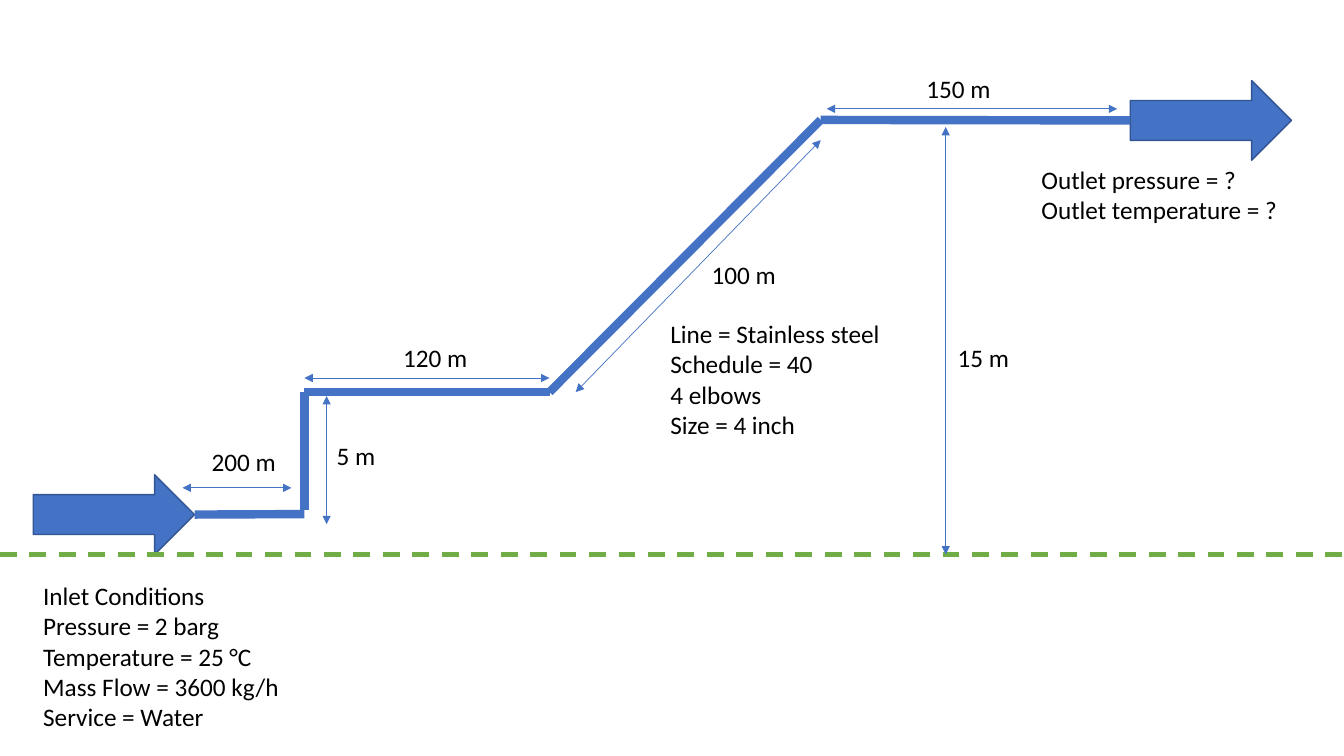
import lxml.etree
import pptx
import pptx.util
import pptx.dml.color
import pptx.enum.dml
import pptx.enum.shapes
import pptx.oxml.ns

BLUE = pptx.dml.color.RGBColor(0x44, 0x72, 0xC4)
DARK_BLUE = pptx.dml.color.RGBColor(0x32, 0x54, 0x91)
GREEN = pptx.dml.color.RGBColor(0x70, 0xAD, 0x47)
BLACK = pptx.dml.color.RGBColor(0, 0, 0)

# Content, with lengths in inches
WIDTH, HEIGHT = 13.33, 7.5
GROUND_Y = 5.5
ARROW_W, ARROW_H = 1.6, 0.79
INLET_AT = (0.33, 4.71)
OUTLET_AT = (11.21, 0.8)

INLET_TIP = (INLET_AT[0] + ARROW_W, 5.1)
RISER_FOOT = (3.02, 5.1)
RISER_TOP = (3.02, 3.89)
SLOPE_FOOT = (5.45, 3.89)
SLOPE_TOP = (8.14, 1.19)
OUTLET_TAIL = (OUTLET_AT[0], 1.19)
PIPE = [
    (INLET_TIP, RISER_FOOT),
    ((3.02, 5.06), RISER_TOP),
    (RISER_TOP, SLOPE_FOOT),
    (SLOPE_FOOT, SLOPE_TOP),
    (SLOPE_TOP, OUTLET_TAIL),
]

# Each dimension: label, label box (left, top, width), line start, line end
DIMENSIONS = [
    ("200 m", (2.0, 4.38, 0.95), (1.81, 4.84), (2.89, 4.84)),
    ("5 m", (3.24, 4.32, 0.67), (3.24, 5.2), (3.24, 3.93)),
    ("120 m", (3.9, 3.35, 0.92), (3.02, 3.75), (5.45, 3.75)),
    ("100 m", (6.96, 2.52, 0.92), (5.71, 3.89), (8.14, 1.39)),
    ("150 m", (9.09, 0.68, 0.92), (8.2, 1.08), (11.08, 1.08)),
    ("15 m", (9.4, 3.35, 0.72), (9.38, GROUND_Y), (9.38, 1.26)),
]

NOTE_W = 3.19
NOTES = [
    ((0.33, 5.71, NOTE_W), ["Inlet Conditions", "Pressure = 2 barg",
                            "Temperature = 25 °C", "Mass Flow = 3600 kg/h",
                            "Service = Water"]),
    ((6.55, 3.11, NOTE_W), ["Line = Stainless steel", "Schedule = 40",
                            "4 elbows", "Size = 4 inch"]),
    ((10.23, 1.58, NOTE_W), ["Outlet pressure = ?", "Outlet temperature = ?"]),
]


def inches(*values):
    return [pptx.util.Inches(v) for v in values]


def add_line(slide, start, end, color, width, heads=False):
    c = slide.shapes.add_connector(
        pptx.enum.shapes.MSO_CONNECTOR.STRAIGHT, *inches(*start, *end))
    c.line.color.rgb = color
    c.line.width = pptx.util.Pt(width)
    qn = pptx.oxml.ns.qn
    sp_pr = c._element.spPr
    if heads:
        ln = sp_pr.find(qn("a:ln"))
        for tag in ("a:headEnd", "a:tailEnd"):
            lxml.etree.SubElement(ln, qn(tag)).set("type", "triangle")
    lxml.etree.SubElement(sp_pr, qn("a:effectLst"))
    return c


def add_flow_arrow(slide, at):
    sp = slide.shapes.add_shape(
        pptx.enum.shapes.MSO_SHAPE.RIGHT_ARROW, *inches(*at, ARROW_W, ARROW_H))
    sp.shadow.inherit = False
    sp.fill.solid()
    sp.fill.fore_color.rgb = BLUE
    sp.line.color.rgb = DARK_BLUE
    sp.line.width = pptx.util.Pt(1)
    return sp


def add_text(slide, box, lines):
    height = 0.1 + 0.3 * len(lines)
    tf = slide.shapes.add_textbox(*inches(*box, height)).text_frame
    tf.word_wrap = True
    tf.text = "\n".join(lines)
    for p in tf.paragraphs:
        for r in p.runs:
            r.font.name = "Calibri"
            r.font.size = pptx.util.Pt(18)
            r.font.color.rgb = BLACK


def main():
    prs = pptx.Presentation()
    prs.slide_width, prs.slide_height = inches(WIDTH, HEIGHT)
    s = prs.slides.add_slide(prs.slide_layouts[6])

    # Flow arrows and the pipe between them
    inlet = add_flow_arrow(s, INLET_AT)
    outlet = add_flow_arrow(s, OUTLET_AT)
    pipes = [add_line(s, start, end, BLUE, 6) for start, end in PIPE]
    pipes[0].begin_connect(inlet, 3)
    pipes[-1].end_connect(outlet, 1)

    # Ground level
    ground = add_line(s, (0, GROUND_Y), (WIDTH, GROUND_Y), GREEN, 3)
    ground.line.dash_style = pptx.enum.dml.MSO_LINE.DASH

    # Dimensions
    for label, box, start, end in DIMENSIONS:
        add_line(s, start, end, BLUE, 0.5, heads=True)
        add_text(s, box, [label])

    # Notes
    for box, lines in NOTES:
        add_text(s, box, lines)

    prs.save("out.pptx")


if __name__ == "__main__":
    main()
